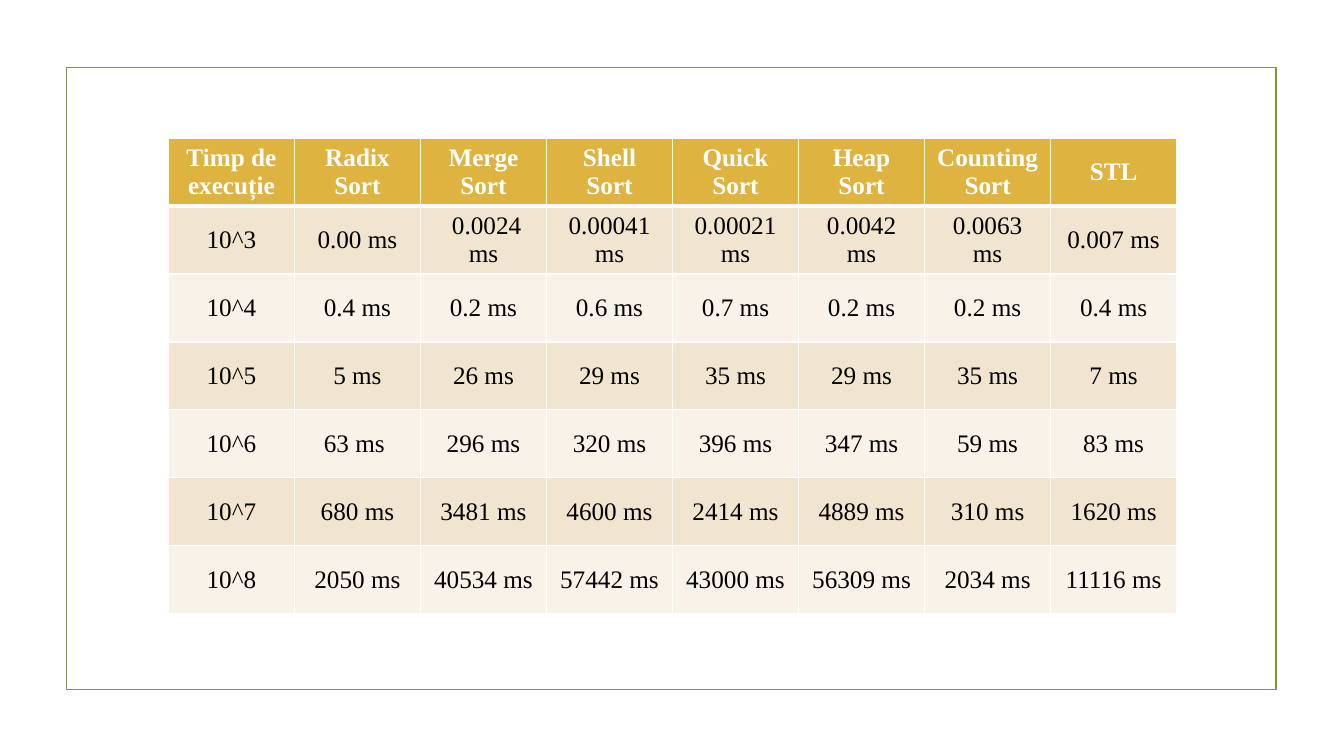
"""Build a slide with a table of sorting algorithm run times."""
from lxml import etree
from pptx import Presentation
from pptx.dml.color import RGBColor
from pptx.enum import shapes, text
from pptx.oxml import ns
from pptx.util import Inches, Pt

HEADER = ["Timp de execuție", "Radix Sort", "Merge Sort", "Shell Sort",
          "Quick Sort", "Heap Sort", "Counting Sort", "STL"]
TIMES = [
    ["10^3", "0.00 ms", " 0.0024 ms", "0.00041 ms", "0.00021 ms", "0.0042 ms", "0.0063 ms", "0.007 ms"],
    ["10^4", "0.4 ms", "0.2 ms", "0.6 ms", "0.7 ms", "0.2 ms", "0.2 ms", "0.4 ms"],
    ["10^5", "5 ms", "26 ms", "29 ms", "35 ms", "29 ms", "35 ms", "7 ms"],
    ["10^6", "63 ms ", "296 ms", "320 ms", "396 ms", "347 ms", "59 ms", "83 ms"],
    ["10^7", "680 ms", "3481 ms", "4600 ms", "2414 ms", "4889 ms", "310 ms", "1620 ms"],
    ["10^8", "2050 ms", "40534 ms", "57442 ms", "43000 ms", "56309 ms", "2034 ms", "11116 ms"],
]
FONT, SIZE = "Times New Roman", 18
WHITE, BLACK, GREEN, GOLD = "FFFFFF", "000000", "83992A", "DEB340"
BANDS = ["F2E5CF", "F9F2E8"]
FRAME = (0.66, 0.67, 12, 6.17)
TABLE = (1.67, 1.37, 10, 4.72)


def color(value):
    return RGBColor.from_string(value)


def add_borders(cell, widths):
    properties = cell._tc.get_or_add_tcPr()
    for position, (side, width) in enumerate(widths.items()):
        line = etree.Element(ns.qn("a:ln" + side), w=str(Pt(width)))
        fill = etree.SubElement(line, ns.qn("a:solidFill"))
        etree.SubElement(fill, ns.qn("a:srgbClr"), val=WHITE)
        properties.insert(position, line)


def format_cell(cell, content, row):
    is_header = row == 0
    cell.text_frame.text = content
    cell.vertical_anchor = text.MSO_ANCHOR.MIDDLE
    cell.margin_left = cell.margin_right = Inches(0.11)
    cell.margin_top = cell.margin_bottom = Inches(0.06)
    cell.fill.solid()
    cell.fill.fore_color.rgb = color(GOLD if is_header else BANDS[(row - 1) % 2])
    paragraph = cell.text_frame.paragraphs[0]
    paragraph.alignment = text.PP_ALIGN.CENTER
    font = paragraph.runs[0].font
    font.name, font.size, font.bold = FONT, Pt(SIZE), is_header
    font.color.rgb = color(WHITE if is_header else BLACK)
    add_borders(cell, {"L": 1, "R": 1, "T": 3 if row == 1 else 1, "B": 3 if is_header else 1})


def add_frame(slide):
    frame = slide.shapes.add_shape(shapes.MSO_SHAPE.RECTANGLE, *map(Inches, FRAME))
    frame.shadow.inherit = False
    frame.fill.background()
    frame.line.color.rgb = color(GREEN)
    frame.line.width = Pt(1.25)


def add_times_table(slide):
    rows = [HEADER] + TIMES
    table = slide.shapes.add_table(len(rows), len(HEADER), *map(Inches, TABLE)).table
    for row, contents in enumerate(rows):
        for column, content in enumerate(contents):
            format_cell(table.cell(row, column), content, row)


def main():
    presentation = Presentation()
    presentation.slide_width, presentation.slide_height = Inches(13.33), Inches(7.5)
    slide = presentation.slides.add_slide(presentation.slide_layouts[6])
    add_frame(slide)
    add_times_table(slide)
    presentation.save("out.pptx")


if __name__ == "__main__":
    main()
